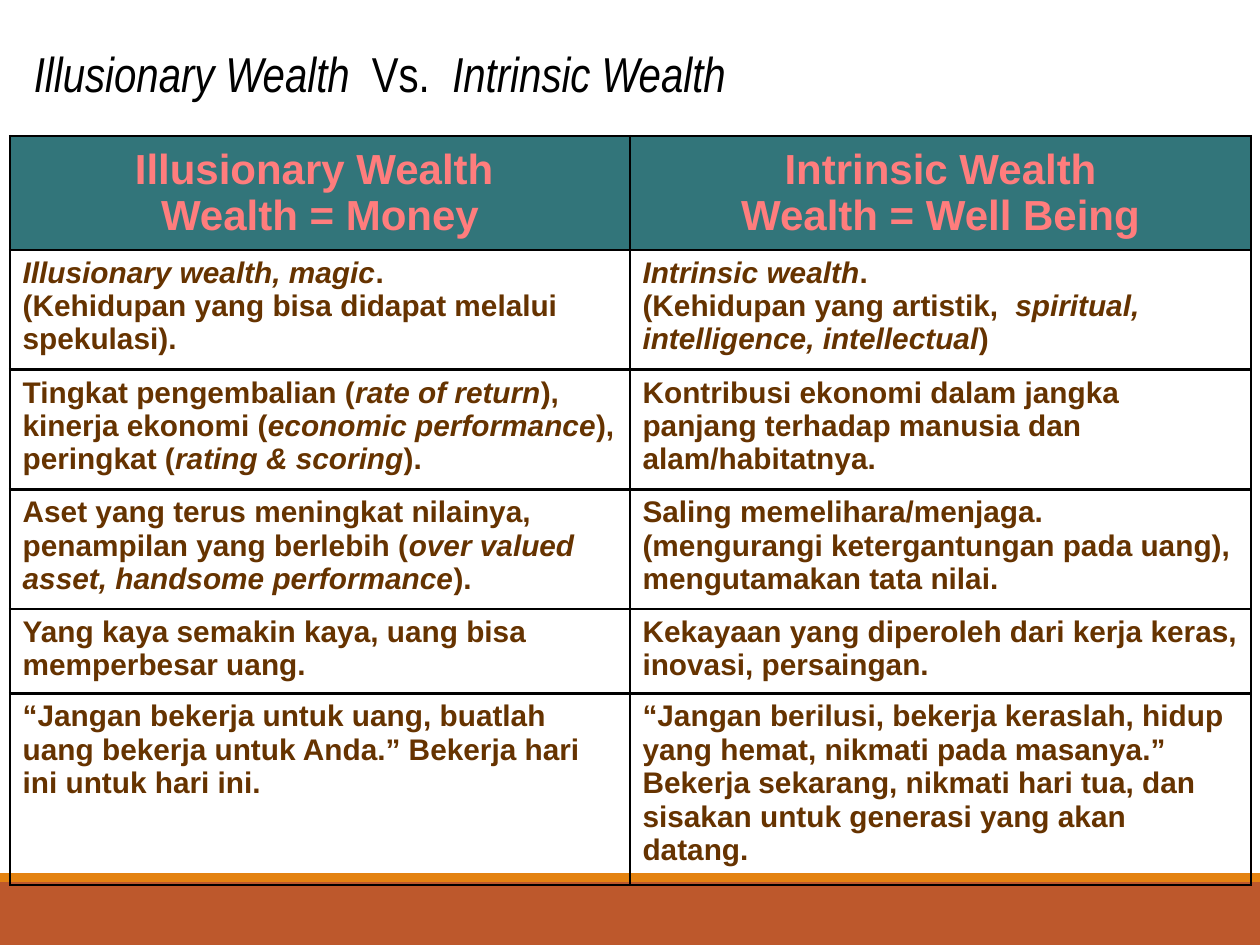
"""Build a slide that compares illusionary wealth with intrinsic wealth."""
from dataclasses import dataclass

from lxml import etree
from pptx import Presentation
from pptx.dml.color import RGBColor
from pptx.enum.shapes import MSO_SHAPE
from pptx.enum.text import MSO_ANCHOR, PP_ALIGN
from pptx.oxml.ns import qn
from pptx.util import Pt

RECTANGLE = MSO_SHAPE.RECTANGLE
TOP, MIDDLE = MSO_ANCHOR.TOP, MSO_ANCHOR.MIDDLE
LEFT, CENTER = PP_ALIGN.LEFT, PP_ALIGN.CENTER

COLORS = {
    "rust": "BD582C",
    "orange": "E48312",
    "teal": "32757A",
    "pink": "FF7D7D",
    "brown": "663300",
    "black": "000000",
}
BORDER_WIDTH = 1.47
COLUMN_WIDTHS = (354.24, 354.96)


@dataclass(frozen=True)
class Band:
    """A full-width strip at the foot of the slide."""
    top: float
    height: float
    color: str


@dataclass(frozen=True)
class Row:
    """A table row; asterisks enclose italic words."""
    height: float
    left: str
    right: str


BANDS = (Band(504, 36, "rust"), Band(499, 5, "orange"))
HEADER = Row(65, "Illusionary Wealth \nWealth = Money", "Intrinsic Wealth\nWealth = Well Being")
BODY = (
    Row(68.4,
        "*Illusionary wealth, magic*.\n(Kehidupan yang bisa didapat melalui spekulasi).",
        "*Intrinsic wealth*.\n(Kehidupan yang artistik,  *spiritual, intelligence, intellectual*)"),
    Row(68.4,
        "Tingkat pengembalian (*rate of return*), kinerja ekonomi "
        "(*economic performance*), peringkat (*rating & scoring*).",
        "Kontribusi ekonomi dalam jangka panjang terhadap manusia dan alam/habitatnya."),
    Row(68.4,
        "Aset yang terus meningkat nilainya, penampilan yang berlebih "
        "(*over valued asset, handsome performance*).",
        "Saling memelihara/menjaga.\n"
        "(mengurangi ketergantungan pada uang), mengutamakan tata nilai."),
    Row(48.2,
        "Yang kaya semakin kaya, uang bisa memperbesar uang.",
        "Kekayaan yang diperoleh dari kerja keras, inovasi, persaingan."),
    Row(109.4,
        "“Jangan bekerja untuk uang, buatlah uang bekerja untuk Anda.” "
        "Bekerja hari ini untuk hari ini.",
        "“Jangan berilusi, bekerja keraslah, hidup yang hemat, nikmati pada masanya.” "
        "Bekerja sekarang, nikmati hari tua, dan sisakan untuk generasi yang akan datang."),
)


def rgb(name: str) -> RGBColor:
    """Return the named colour."""
    return RGBColor.from_string(COLORS[name])


def write_text(frame, text: str, *, size: float, color: str, font: str = "Arial",
               bold: bool = False, align: PP_ALIGN = LEFT) -> None:
    """Fill a text frame, one paragraph a line, with starred words in italics."""
    frame.word_wrap = True
    for index, line in enumerate(text.split("\n")):
        para = frame.add_paragraph() if index else frame.paragraphs[0]
        para.alignment = align
        for part, words in enumerate(line.split("*")):
            if not words:
                continue
            span = para.add_run()
            span.text = words
            span.font.name = font
            span.font.size = Pt(size)
            span.font.bold = bold
            span.font.italic = part % 2 == 1
            span.font.color.rgb = rgb(color)


def draw_band(page, band: Band, width: int) -> None:
    """Draw one strip."""
    shape = page.shapes.add_shape(RECTANGLE, 0, Pt(band.top), width, Pt(band.height))
    shape.shadow.inherit = False
    shape.fill.solid()
    shape.fill.fore_color.rgb = rgb(band.color)
    shape.line.fill.background()


def add_borders(cell) -> None:
    """Give a cell a black line on each side."""
    properties = cell._tc.get_or_add_tcPr()
    for side in ("a:lnL", "a:lnR", "a:lnT", "a:lnB"):
        line = etree.SubElement(properties, qn(side), w=str(int(Pt(BORDER_WIDTH))))
        fill = etree.SubElement(line, qn("a:solidFill"))
        etree.SubElement(fill, qn("a:srgbClr"), val=COLORS["black"])


def draw_table(page) -> None:
    """Draw the comparison table."""
    rows = (HEADER, *BODY)
    frame = page.shapes.add_table(
        len(rows), len(COLUMN_WIDTHS), Pt(5.76), Pt(77.76),
        Pt(sum(COLUMN_WIDTHS)), Pt(sum(row.height for row in rows)))
    table = frame.table
    table.first_row = table.horz_banding = False
    for column, width in zip(table.columns, COLUMN_WIDTHS):
        column.width = Pt(width)
    for index, row in enumerate(rows):
        is_header = row is HEADER
        table.rows[index].height = Pt(row.height)
        for cell, text in zip(table.rows[index].cells, (row.left, row.right)):
            add_borders(cell)
            if is_header:
                cell.fill.solid()
                cell.fill.fore_color.rgb = rgb("teal")
            else:
                cell.fill.background()
            cell.vertical_anchor = MIDDLE if is_header else TOP
            write_text(cell.text_frame, text, bold=True,
                       size=24 if is_header else 17,
                       color="pink" if is_header else "brown",
                       align=CENTER if is_header else LEFT)


def main() -> None:
    """Build and save the deck."""
    deck = Presentation()
    deck.slide_width, deck.slide_height = Pt(720), Pt(540)
    page = deck.slides.add_slide(deck.slide_layouts[6])
    for band in BANDS:
        draw_band(page, band, deck.slide_width)
    box = page.shapes.add_textbox(Pt(12.24), Pt(5), Pt(480), Pt(73))
    box.text_frame.vertical_anchor = MIDDLE
    write_text(box.text_frame, "*Illusionary Wealth*  Vs.  *Intrinsic Wealth*",
               size=28, color="black", font="Arial Narrow")
    draw_table(page)
    deck.save("out.pptx")


if __name__ == "__main__":
    main()
